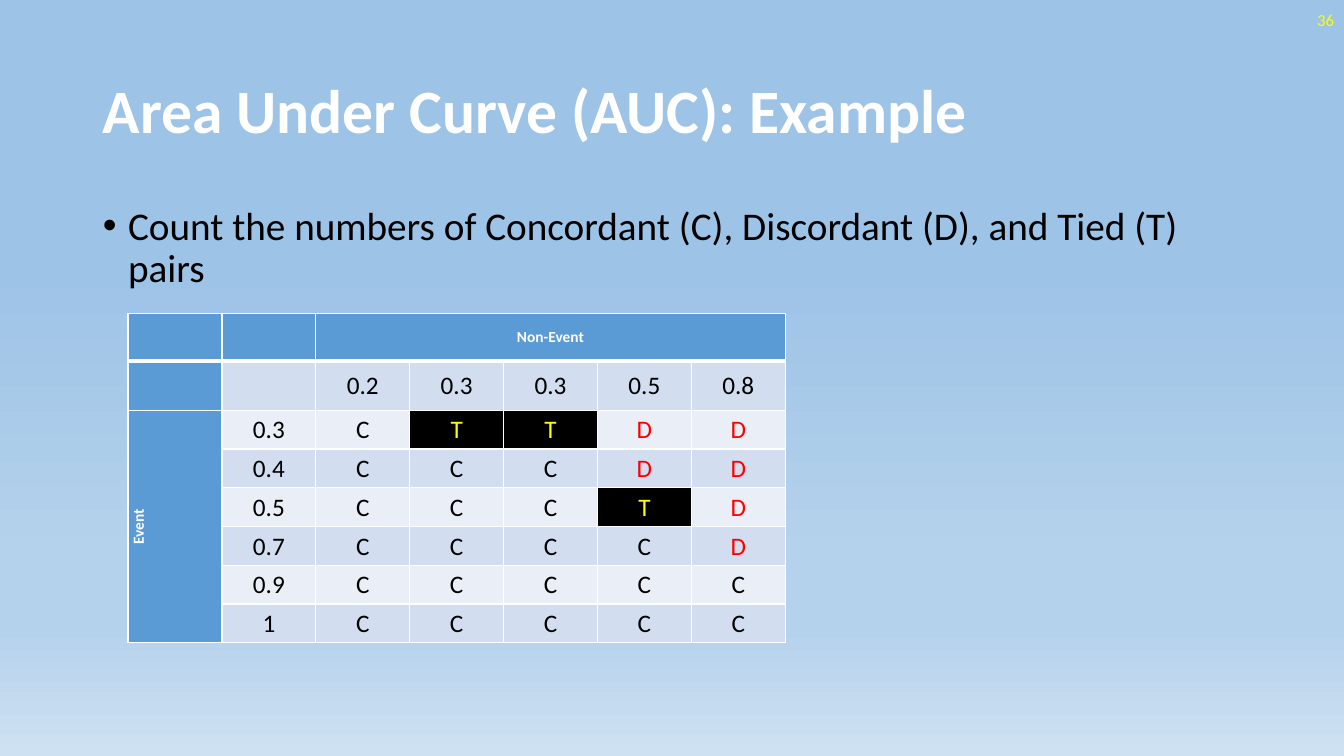
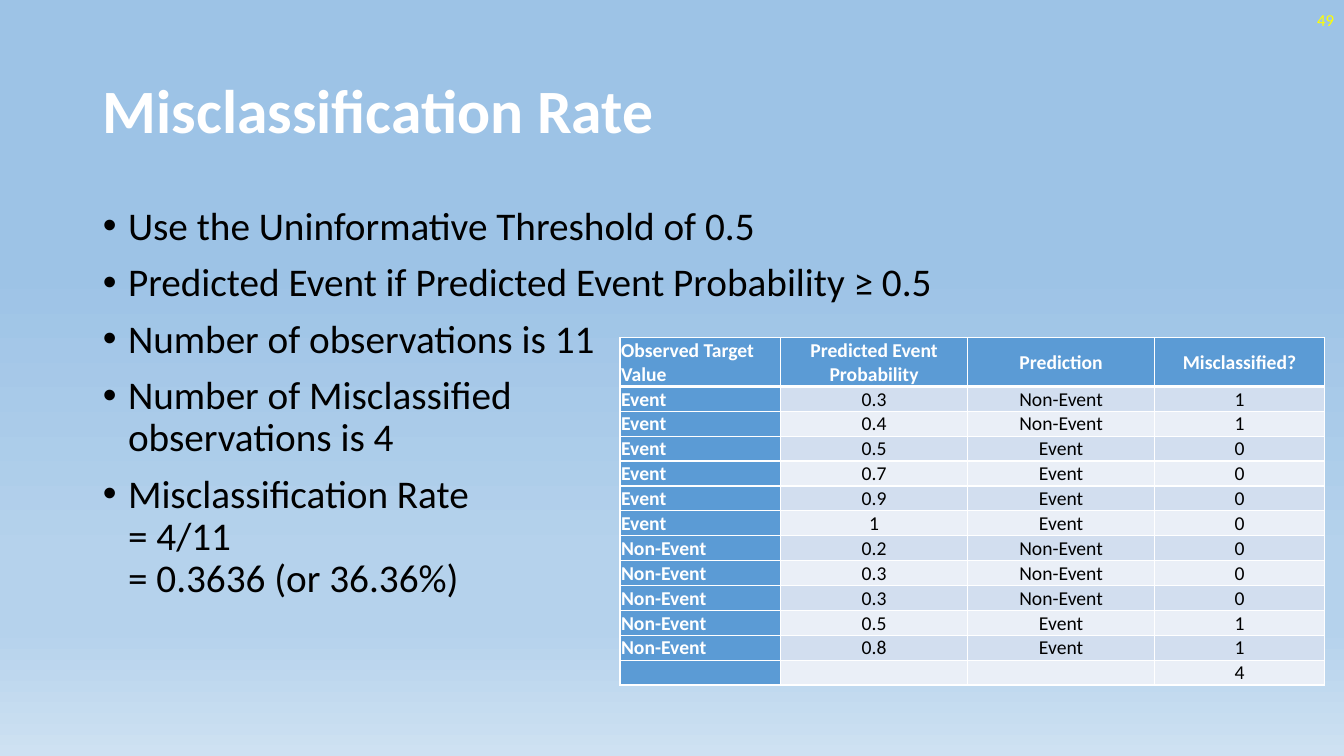
"""Build two classification slides: concordant pair counts and misclassification rate."""
from dataclasses import dataclass

from lxml import etree
from pptx import Presentation
from pptx import slide, table
from pptx import util as u
from pptx.dml import color as dml
from pptx.enum import text
from pptx.oxml import ns
from pptx.text import text as tx

COLORS = {
    "white": "FFFFFF",
    "black": "000000",
    "yellow": "FFFF00",
    "red": "FF0000",
    "header": "5B9BD5",
    "band_dark": "D2DEEF",
    "band_light": "EAEFF7",
    "sky": "9DC3E6",
    "haze": "B5D2EC",
    "horizon": "CEE1F2",
}
FONT = "Calibri"
BACKGROUND = ((35, "sky"), (74, "haze"), (83, "haze"), (100, "horizon"))
EVENTS = ("0.3", "0.4", "0.5", "0.7", "0.9", "1")
NON_EVENTS = ("0.2", "0.3", "0.3", "0.5", "0.8")
THRESHOLD = 0.5


@dataclass(frozen=True)
class Box:
    left: float
    top: float
    width: float
    height: float

    def lengths(self) -> tuple:
        return tuple(map(u.Inches, (self.left, self.top, self.width, self.height)))


@dataclass(frozen=True)
class Cell:
    words: str = ""
    fill: str = "header"
    color: str = "black"
    size: int = 18
    bold: bool = False
    align: text.PP_ALIGN = text.PP_ALIGN.CENTER
    rows: int = 1
    cols: int = 1
    vertical: bool = False


@dataclass(frozen=True)
class Grid:
    left: float
    top: float
    widths: list[float]
    heights: list[float]
    cells: list[list[Cell]]


TITLE = Box(0.92, 0.4, 11.5, 1.45)
BODY = Box(0.92, 2, 11.5, 4.76)
NUMBER = Box(10.33, 0, 3, 0.4)


def rgb(name: str) -> dml.RGBColor:
    return dml.RGBColor.from_string(COLORS[name])


def add_run(p: tx._Paragraph, words: str, size: int, name: str, bold: bool = False) -> None:
    for i, line in enumerate(words.split("\n")):
        if i:
            p.add_line_break()
        r = p.add_run()
        r.text = line
        r.font.name, r.font.size, r.font.bold = FONT, u.Pt(size), bold
        r.font.color.rgb = rgb(name)


def set_background(master: slide.SlideMaster) -> None:
    fill = master.background.fill
    fill.gradient()
    fill.gradient_angle = 270
    stops = master.element.find(".//" + ns.qn("a:gsLst"))
    for stop in list(stops):
        stops.remove(stop)
    for percent, name in BACKGROUND:
        gs = etree.SubElement(stops, ns.qn("a:gs"), pos=str(percent * 1000))
        etree.SubElement(gs, ns.qn("a:srgbClr"), val=COLORS[name])


def place(sp, box: Box) -> tx.TextFrame:
    sp.left, sp.top, sp.width, sp.height = box.lengths()
    tf = sp.text_frame
    tf.word_wrap = True
    tf.auto_size = text.MSO_AUTO_SIZE.NONE
    return tf


def add_slide(prs, title: str, bullets: list[str], number: int) -> slide.Slide:
    s = prs.slides.add_slide(prs.slide_layouts[1])
    tf = place(s.shapes.title, TITLE)
    tf.vertical_anchor = text.MSO_ANCHOR.MIDDLE
    p = tf.paragraphs[0]
    p.alignment, p.line_spacing = text.PP_ALIGN.LEFT, 0.9
    add_run(p, title, 44, "white", True)

    tf = place(s.placeholders[1], BODY)
    for i, bullet in enumerate(bullets):
        p = tf.add_paragraph() if i else tf.paragraphs[0]
        p.line_spacing, p.space_before = 0.9, u.Pt(10)
        pr = p._p.get_or_add_pPr()
        pr.set("marL", str(u.Inches(0.25)))
        pr.set("indent", str(u.Inches(-0.25)))
        add_run(p, bullet, 28, "black")

    tf = place(s.shapes.add_textbox(*NUMBER.lengths()), NUMBER)
    tf.vertical_anchor = text.MSO_ANCHOR.MIDDLE
    p = tf.paragraphs[0]
    p.alignment = text.PP_ALIGN.RIGHT
    add_run(p, str(number), 12, "yellow")
    return s


def set_borders(cell: table._Cell, top: float, bottom: float) -> None:
    pr = cell._tc.get_or_add_tcPr()
    for i, (side, width) in enumerate((("L", 1), ("R", 1), ("T", top), ("B", bottom))):
        ln = etree.Element(ns.qn(f"a:ln{side}"), w=str(u.Pt(width)))
        fill = etree.SubElement(ln, ns.qn("a:solidFill"))
        etree.SubElement(fill, ns.qn("a:srgbClr"), val=COLORS["white"])
        pr.insert(i, ln)


def fill_cell(cell: table._Cell, c: Cell, row: int) -> None:
    cell.fill.solid()
    cell.fill.fore_color.rgb = rgb(c.fill)
    cell.margin_left = cell.margin_right = cell.margin_top = u.Inches(0.01)
    cell.margin_bottom = 0
    cell.vertical_anchor = text.MSO_ANCHOR.MIDDLE
    set_borders(cell, 3 if row == 1 else 1, 3 if row == 0 else 1)
    if c.vertical:
        cell._tc.get_or_add_tcPr().set("vert", "vert270")
    p = cell.text_frame.paragraphs[0]
    p.alignment = c.align
    if c.words:
        add_run(p, c.words, c.size, c.color, c.bold)
    else:
        etree.SubElement(p._p, ns.qn("a:endParaRPr"), sz=str(c.size * 100))


def add_grid(s: slide.Slide, g: Grid) -> None:
    box = Box(g.left, g.top, sum(g.widths), sum(g.heights))
    tbl = s.shapes.add_table(len(g.heights), len(g.widths), *box.lengths()).table
    tbl.first_row = tbl.horz_banding = False
    for column, width in zip(tbl.columns, g.widths):
        column.width = u.Inches(width)
    for row, height in zip(tbl.rows, g.heights):
        row.height = u.Inches(height)
    for i, cells in enumerate(g.cells):
        for j, c in enumerate(cells):
            cell = tbl.cell(i, j)
            fill_cell(cell, c, i)
            if c.rows > 1 or c.cols > 1:
                cell.merge(tbl.cell(i + c.rows - 1, j + c.cols - 1))


def band(row: int) -> str:
    return "band_dark" if row % 2 else "band_light"


def pair_cell(event: str, non_event: str, fill: str) -> Cell:
    gap = float(event) - float(non_event)
    if gap == 0:
        return Cell("T", "black", "yellow")
    return Cell("C", fill) if gap > 0 else Cell("D", fill, "red")


def pair_cells() -> list[list[Cell]]:
    label = {"color": "white", "size": 11, "bold": True}
    covered = [Cell()] * (len(NON_EVENTS) - 1)
    cells = [
        [Cell(), Cell(), Cell("Non-Event", cols=len(NON_EVENTS), **label), *covered],
        [Cell(), *(Cell(score, band(1)) for score in ("", *NON_EVENTS))],
    ]
    for i, event in enumerate(EVENTS, 2):
        side = Cell("Event", rows=len(EVENTS), vertical=True, **label) if i == 2 else Cell()
        pairs = [pair_cell(event, score, band(i)) for score in NON_EVENTS]
        cells.append([side, Cell(event, band(i)), *pairs])
    return cells


def misclassified_cells() -> list[list[Cell]]:
    label = {"color": "white", "size": 14, "bold": True}
    left = {"align": text.PP_ALIGN.LEFT, **label}
    heads = ("Predicted Event Probability", "Prediction", "Misclassified?")
    cells = [[Cell("Observed Target Value", **left), *(Cell(h, **label) for h in heads)]]
    observed = [("Event", x) for x in EVENTS] + [("Non-Event", x) for x in NON_EVENTS]
    total = 0
    rows = []
    for target, score in observed:
        prediction = "Event" if float(score) >= THRESHOLD else "Non-Event"
        wrong = int(prediction != target)
        total += wrong
        rows.append((target, score, prediction, str(wrong)))
    rows.append(("", "", "", str(total)))
    for i, (target, *values) in enumerate(rows, 1):
        cells.append([Cell(target, **left), *(Cell(v, band(i), size=14) for v in values)])
    return cells


def main() -> None:
    prs = Presentation()
    prs.slide_width, prs.slide_height = u.Inches(13.33), u.Inches(7.5)
    set_background(prs.slide_master)

    s = add_slide(
        prs,
        "Area Under Curve (AUC): Example",
        ["Count the numbers of Concordant (C), Discordant (D), and Tied (T) pairs"],
        36,
    )
    heights = [0.47, 0.49] + [2.31 / len(EVENTS)] * len(EVENTS)
    add_grid(s, Grid(1.27, 3.11, [6.52 / 7] * 7, heights, pair_cells()))

    s = add_slide(
        prs,
        "Misclassification Rate",
        [
            "Use the Uninformative Threshold of 0.5",
            "Predicted Event if Predicted Event Probability ≥ 0.5",
            "Number of observations is 11",
            "Number of Misclassified\nobservations is 4",
            "Misclassification Rate\n= 4/11\n= 0.3636 (or 36.36%)",
        ],
        49,
    )
    cells = misclassified_cells()
    heights = [0.48] + [0.24] * (len(cells) - 1)
    add_grid(s, Grid(6.15, 3.35, [1.59, 1.86, 1.85, 1.69], heights, cells))

    prs.save("out.pptx")


if __name__ == "__main__":
    main()
